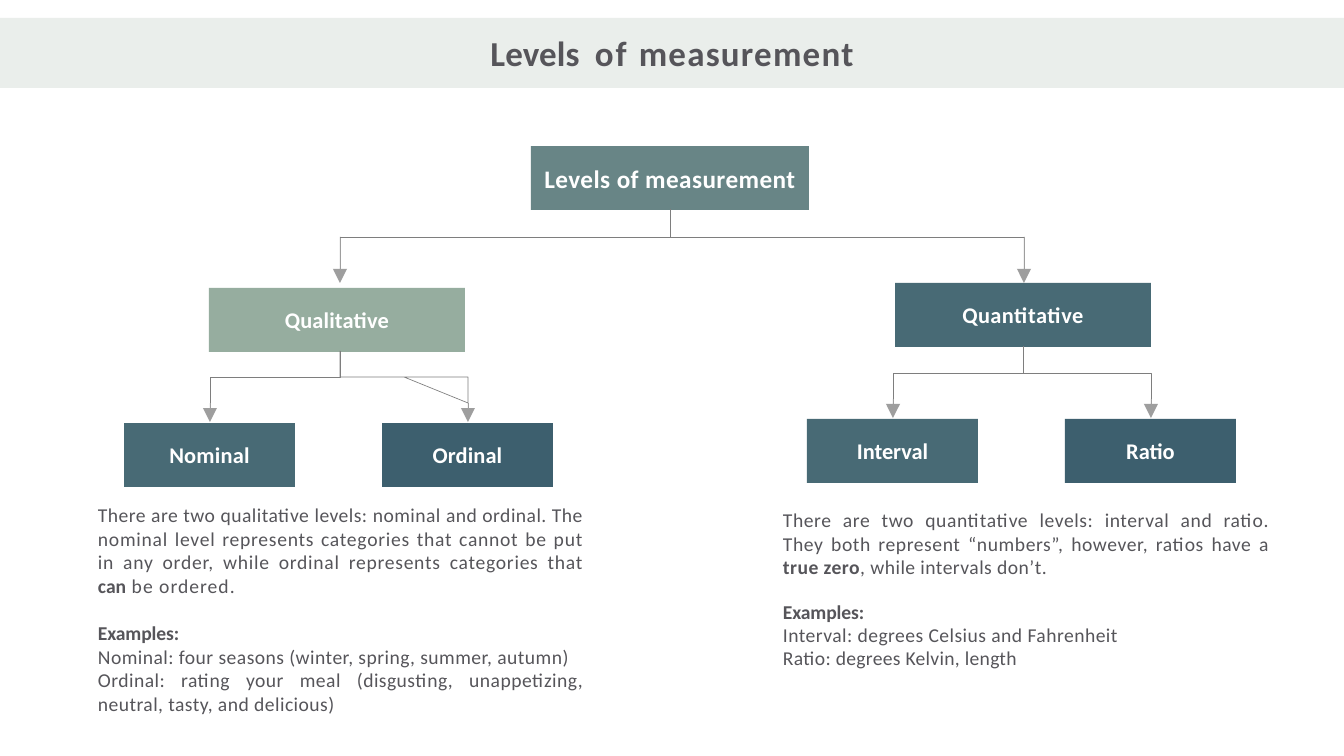
from pptx import Presentation
from pptx import util as u
from pptx.dml.color import RGBColor
from pptx.enum import shapes, text
from pptx.oxml.ns import qn
from lxml import etree

EMU_PER_PX = 914400 / 100.8
GREY, TEXT, WHITE = "7E7E7E", "56555A", "FFFFFF"
TEAL, NAVY = "486A75", "3D5F6E"


def px(n):
    return u.Emu(round(n * EMU_PER_PX))


def rgb(value):
    return RGBColor.from_string(value)


class Deck:
    font = "Calibri"

    def __init__(self, w, h):
        self.prs = Presentation()
        self.prs.slide_width, self.prs.slide_height = px(w), px(h)
        self.s = self.prs.slides.add_slide(self.prs.slide_layouts[6])

    def fill_text(self, sp, paras, size, color, align, bold=False, spacing=1.0, anchor="MIDDLE"):
        """Each paragraph is a list of (words, tracking in points, bold) runs."""
        tf = sp.text_frame
        frame = dict(word_wrap=True, margin_left=0, margin_right=0, margin_top=0,
                     margin_bottom=0, vertical_anchor=text.MSO_ANCHOR[anchor])
        for k, v in frame.items():
            setattr(tf, k, v)
        for i, runs in enumerate(paras):
            p = tf.paragraphs[0] if i == 0 else tf.add_paragraph()
            p.alignment, p.line_spacing = text.PP_ALIGN[align], spacing
            for words, track, *strong in runs:
                r = p.add_run()
                r.text = words
                fmt = dict(name=self.font, size=u.Pt(size), bold=bold or bool(strong))
                for k, v in fmt.items():
                    setattr(r.font, k, v)
                r.font.color.rgb = rgb(color)
                r._r.get_or_add_rPr().set("spc", str(round(track * 100)))

    def box(self, x, y, w, h, fill, runs, size, color=WHITE):
        sp = self.s.shapes.add_shape(shapes.MSO_SHAPE.RECTANGLE, px(x), px(y), px(w), px(h))
        sp.shadow.inherit = False
        sp.fill.solid()
        sp.fill.fore_color.rgb = rgb(fill)
        sp.line.fill.background()
        self.fill_text(sp, [runs], size, color, "CENTER", bold=True)

    def body(self, x, y, w, h, paras, align="JUSTIFY", spacing=1.0):
        sp = self.s.shapes.add_textbox(px(x), px(y), px(w), px(h))
        self.fill_text(sp, paras, 14, TEXT, align, spacing=spacing, anchor="TOP")

    def outline(self, points, close=False):
        fb = self.s.shapes.build_freeform(*points[0], scale=EMU_PER_PX)
        fb.add_line_segments(points[1:], close=close)
        sp = fb.convert_to_shape()
        sp.shadow.inherit = False
        return sp

    def elbow(self, *points):
        sp = self.outline(points)
        sp.fill.background()
        sp.line.color.rgb = rgb(GREY)
        sp.line.width = u.Pt(0.48)

    def arrow(self, x, top, tip):
        neck = tip - 14
        sp = self.outline([(x, top), (x + 1, top), (x + 1, neck), (x + 7, neck),
                           (x, tip), (x - 7, neck), (x, neck)], close=True)
        sp.fill.solid()
        sp.fill.fore_color.rgb = rgb(GREY)
        sp.line.fill.background()
        clr = sp._element.spPr.find(qn("a:solidFill")).find(qn("a:srgbClr"))
        etree.SubElement(clr, qn("a:alpha")).set("val", "75000")


def main():
    d = Deck(1344, 756)

    # Title band
    d.box(0, 18, 1344, 70, "EAEEEB",
          [("Levels", 0.1), (" ", 5), ("of ", 1.5), ("measurement", 0.9)], 25, TEXT)

    # Tree boxes
    for x, y, w, fill, label, track, size in [
        (531, 146, 278, "688586", "Levels of measurement", 0.3, 18),
        (209, 288, 256, "96AD9F", "Qualitative", 0.1, 16),
        (895, 283, 256, TEAL, "Quantitative", 0.3, 16),
        (124, 423, 171, TEAL, "Nominal", 0.2, 16),
        (382, 423, 171, NAVY, "Ordinal", 0.1, 16),
        (807, 419, 171, TEAL, "Interval", 0, 16),
        (1065, 419, 171, NAVY, "Ratio", 0, 16),
    ]:
        d.box(x, y, w, 64, fill, [(label, track)], size)

    # Branches
    for x in (340, 1024):
        d.elbow((670, 209), (670, 237), (x, 237))
        d.arrow(x, 237, 283)
    for x in (893, 1151):
        d.elbow((1023, 346), (1023, 373), (x, 373), (x, 399))
        d.arrow(x, 399, 418)
    d.elbow((340, 351), (340, 377), (210, 377), (210, 403))
    d.elbow((404, 377), (468, 377), (468, 403), (404, 377), (340, 377), (340, 351))
    for x in (210, 468):
        d.arrow(x, 403, 422)

    # Explanations
    d.body(98, 503, 486, 96, [[
        ("There are two qualitative levels: nominal and ordinal. The ", 0.3),
        ("nominal level represents categories that cannot be put in any order, "
         "while ordinal represents categories that ", 0.5),
        ("can", 0, True), (" be ordered.", 0.7)]])
    d.body(783, 508, 487, 72, [[
        ("There are two quantitative levels: interval and ratio. They "
         "both represent “numbers”, however, ratios have a ", 0.4),
        ("true zero", 0.3, True), (", while intervals don’t.", 0.3)]])

    # Examples
    heading = [("Examples:", -0.1, True)]
    d.body(98, 621, 486, 96, [
        heading,
        [("Nominal: four seasons (winter, spring, summer, autumn)", 0.3)],
        [("Ordinal: rating your meal (disgusting, unappetizing, "
          "neutral, tasty, and delicious)", 0.3)]])
    d.body(783, 602, 487, 70, [
        heading,
        [("Interval: degrees Celsius and Fahrenheit", 0.3)],
        [("Ratio: degrees Kelvin, length", 0.2)]], align="LEFT", spacing=0.96)

    d.prs.save("out.pptx")


if __name__ == "__main__":
    main()
